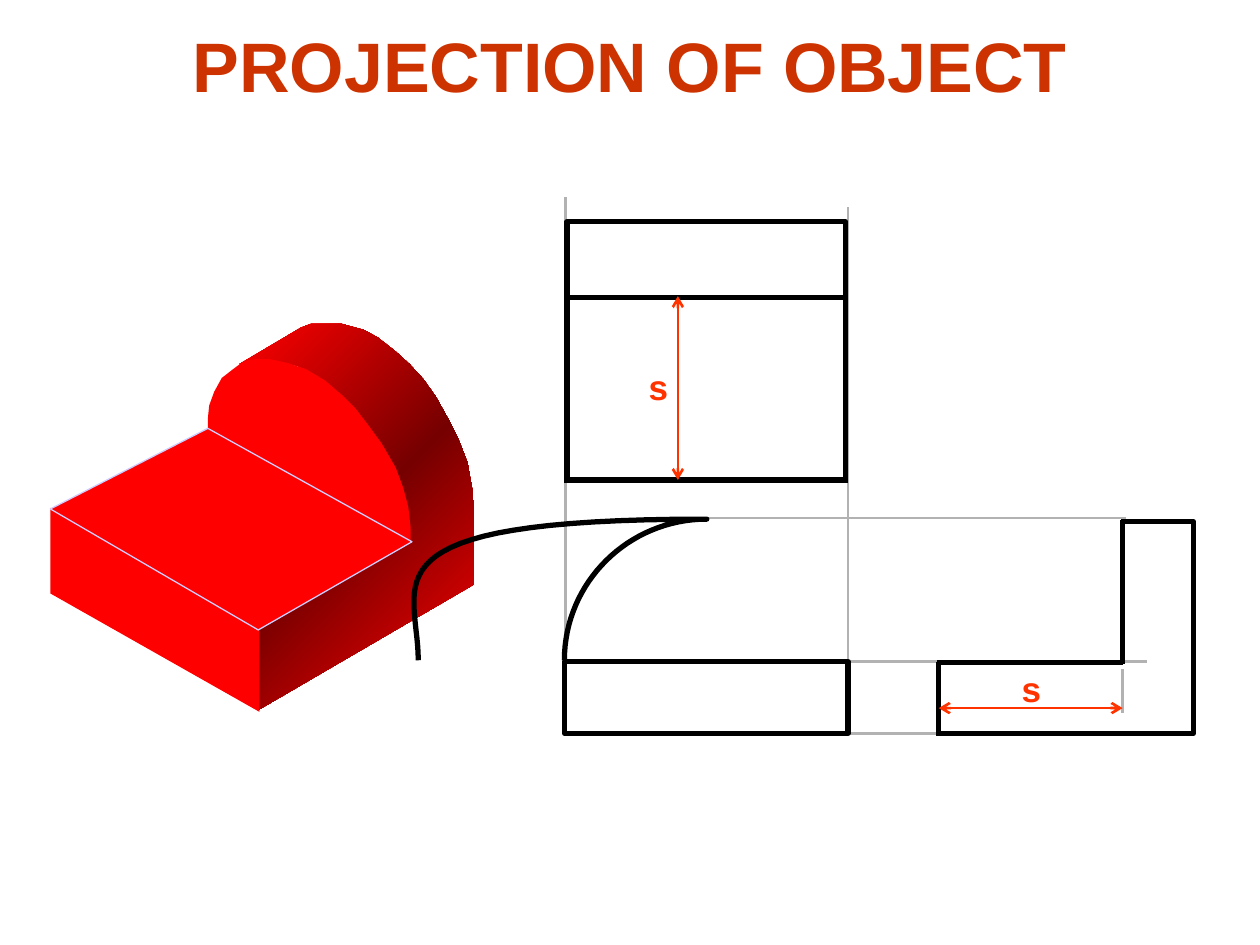
from copy import deepcopy
from typing import NamedTuple, Optional

from lxml.etree import SubElement
from pptx import Presentation
from pptx.dml.color import RGBColor
from pptx.enum.shapes import MSO_CONNECTOR as Link, MSO_SHAPE as Form
from pptx.enum.text import MSO_AUTO_SIZE as Fit, PP_ALIGN as Align
from pptx.oxml.ns import qn
from pptx.util import Inches, Pt

BLACK, GREY, RED, ORANGE = "000000", "B2B2B2", "FF0000", "FF3300"
Point = tuple[float, float]


class Line(NamedTuple):
    start: Point
    end: Point
    ink: str = BLACK
    width: float = 3
    arrows: bool = False


class Path(NamedTuple):
    points: list[Point]
    fill: Optional[str] = None
    ink: Optional[str] = None
    width: float = 3
    closed: bool = True
    dark: Optional[str] = None


def tint(code: str) -> RGBColor:
    return RGBColor.from_string(code)


def style(shape, fill: Optional[str], ink: Optional[str], width: float) -> None:
    shape.shadow.inherit = False
    if fill:
        shape.fill.solid()
        shape.fill.fore_color.rgb = tint(fill)
    else:
        shape.fill.background()
    if ink:
        shape.line.color.rgb = tint(ink)
        shape.line.width = Pt(width)
    else:
        shape.line.fill.background()


def shade(shape, light: str, dark: str) -> None:
    shape.fill.gradient()
    shape.fill.gradient_angle = 315
    for stop in shape.fill.gradient_stops:
        stop.color.rgb = tint(light)
    stops = shape.element.find(".//" + qn("a:gsLst"))
    stops.insert(1, deepcopy(stops[0]))
    middle = shape.fill.gradient_stops[1]
    middle.position = 0.5
    middle.color.rgb = tint(dark)


def draw_line(slide, line: Line) -> None:
    ends = [Inches(v) for v in line.start + line.end]
    link = slide.shapes.add_connector(Link.STRAIGHT, *ends)
    link.line.color.rgb = tint(line.ink)
    link.line.width = Pt(line.width)
    if line.arrows:
        outline = link.line._get_or_add_ln()
        for end in ("a:headEnd", "a:tailEnd"):
            SubElement(outline, qn(end), type="arrow")
    SubElement(link.element.spPr, qn("a:effectLst"))


def draw_path(slide, path: Path) -> None:
    first, *rest = [(Inches(x), Inches(y)) for x, y in path.points]
    pen = slide.shapes.build_freeform(*first)
    pen.add_line_segments(rest, close=path.closed)
    shape = pen.convert_to_shape()
    style(shape, path.fill, path.ink, path.width)
    if path.dark:
        shade(shape, path.fill, path.dark)


def bend(a: Point, b: Point, c: Point, d: Point, steps: int = 32) -> list[Point]:
    points = []
    for i in range(steps + 1):
        t = i / steps
        u = 1 - t
        parts = (u**3, 3 * u * u * t, 3 * u * t * t, t**3)
        x, y = (sum(k * p[n] for k, p in zip(parts, (a, b, c, d))) for n in (0, 1))
        points.append((x, y))
    return points


def write(slide, text: str, x: float, y: float, w: float, h: float, *,
          size: float, ink: str, align=Align.LEFT) -> None:
    box = slide.shapes.add_textbox(*map(Inches, (x, y, w, h)))
    frame = box.text_frame
    frame.word_wrap = False
    frame.auto_size = Fit.SHAPE_TO_FIT_TEXT
    para = frame.paragraphs[0]
    para.text = text
    para.alignment = align
    font = para.runs[0].font
    font.name, font.size, font.bold = "Arial", Pt(size), True
    font.color.rgb = tint(ink)


SIDE = [
    (1.9, 2.89), (2.39, 2.6), (2.47, 2.57), (2.56, 2.57), (2.71, 2.57), (2.89, 2.62),
    (3, 2.68), (3.14, 2.79), (3.25, 2.89), (3.36, 3.01), (3.46, 3.15), (3.56, 3.33),
    (3.64, 3.49), (3.71, 3.67), (3.75, 3.89), (3.76, 4.06), (3.76, 4.64), (2.06, 5.63),
    (2.06, 4.98), (3.26, 4.29), (3.26, 4.17), (3.23, 4.03), (3.18, 3.87), (3.12, 3.72),
    (3.04, 3.57), (2.96, 3.43), (2.86, 3.31), (2.74, 3.17), (2.62, 3.06), (2.47, 2.96),
    (2.36, 2.9), (2.21, 2.88), (2.08, 2.86), (1.98, 2.86),
]
FRONT = [(2.06, 5.65), (2.06, 4.99), (0.4, 4.03), (0.4, 4.71)]
ARCH = [
    (3.26, 4.3), (3.26, 4.19), (3.24, 4.02), (3.2, 3.87), (3.14, 3.71), (3.03, 3.52),
    (2.92, 3.37), (2.82, 3.24), (2.72, 3.14), (2.58, 3.02), (2.43, 2.93), (2.28, 2.88),
    (2.14, 2.85), (2.02, 2.85), (1.93, 2.87), (1.85, 2.93), (1.76, 3), (1.7, 3.11),
    (1.66, 3.22), (1.65, 3.32), (1.65, 3.4),
]
TOP = [(2.05, 5), (3.27, 4.3), (1.65, 3.4), (0.4, 4.04)]
CURVE = (bend((4.48, 5.24), (4.48, 4.62), (4.99, 4.12), (5.61, 4.12))
         + bend((5.61, 4.12), (2.82, 4.12), (3.32, 4.62), (3.32, 5.24))[1:])

GUIDES = [
    Line((4.49, 5.28), (4.49, 1.56), GREY, 1.5),
    Line((6.73, 5.35), (6.73, 1.64), GREY, 1.5),
    Line((6.6, 5.25), (7.68, 5.25), GREY, 1.5),
    Line((6.58, 5.82), (7.66, 5.82), GREY, 1.5),
    Line((6.72, 5.25), (9.1, 5.25), GREY, 1.5),
    Line((5.57, 4.11), (8.94, 4.11), GREY, 1.5),
    Line((8.91, 5.31), (8.91, 5.66), GREY, 1.5),
]
SOLID = [
    Path(SIDE, RED, dark="760000"),
    Path(FRONT, RED),
    Path(ARCH, RED),
    Path(TOP, RED, "CCCCFF", 0.75),
]
EDGES = [
    Line((7.45, 5.82), (7.45, 5.25)),
    Line((4.48, 5.25), (6.73, 5.25)),
    Line((6.73, 3.81), (4.48, 3.81)),
    Line((6.71, 2.36), (4.49, 2.36)),
    Line((8.91, 4.13), (8.91, 5.27)),
    Line((4.5, 2.35), (4.5, 3.81)),
    Line((6.71, 2.35), (6.71, 3.81)),
    Line((7.44, 5.26), (8.91, 5.26)),
    Line((5.38, 3.81), (5.38, 2.35), ORANGE, 1.5, True),
    Line((7.45, 5.62), (8.91, 5.62), ORANGE, 1.5, True),
]
VIEWS = [
    Path(CURVE, ink=BLACK, closed=False),
    Path([(8.9, 4.14), (9.47, 4.14), (9.47, 5.82), (7.43, 5.82)], ink=BLACK, closed=False),
    Path([(4.5, 2.36), (4.5, 1.76), (6.71, 1.76), (6.71, 2.36)], ink=BLACK, closed=False),
]


def main() -> None:
    deck = Presentation()
    deck.slide_width, deck.slide_height = Inches(10), Inches(7.5)
    slide = deck.slides.add_slide(deck.slide_layouts[6])
    for line in GUIDES:
        draw_line(slide, line)
    for path in SOLID:
        draw_path(slide, path)
    base = slide.shapes.add_shape(Form.RECTANGLE, *map(Inches, (4.48, 5.25, 2.25, 0.57)))
    style(base, None, BLACK, 3)
    for path in VIEWS:
        draw_path(slide, path)
    for line in EDGES:
        draw_line(slide, line)
    for x, y in ((5.05, 2.85), (8.01, 5.25)):
        write(slide, "s", x, y, 0.35, 0.44, size=20, ink=ORANGE)
    write(slide, "PROJECTION OF OBJECT", 1.43, 0.13, 7.14, 0.77,
          size=40, ink="CC3300", align=Align.CENTER)
    deck.save("out.pptx")


if __name__ == "__main__":
    main()
